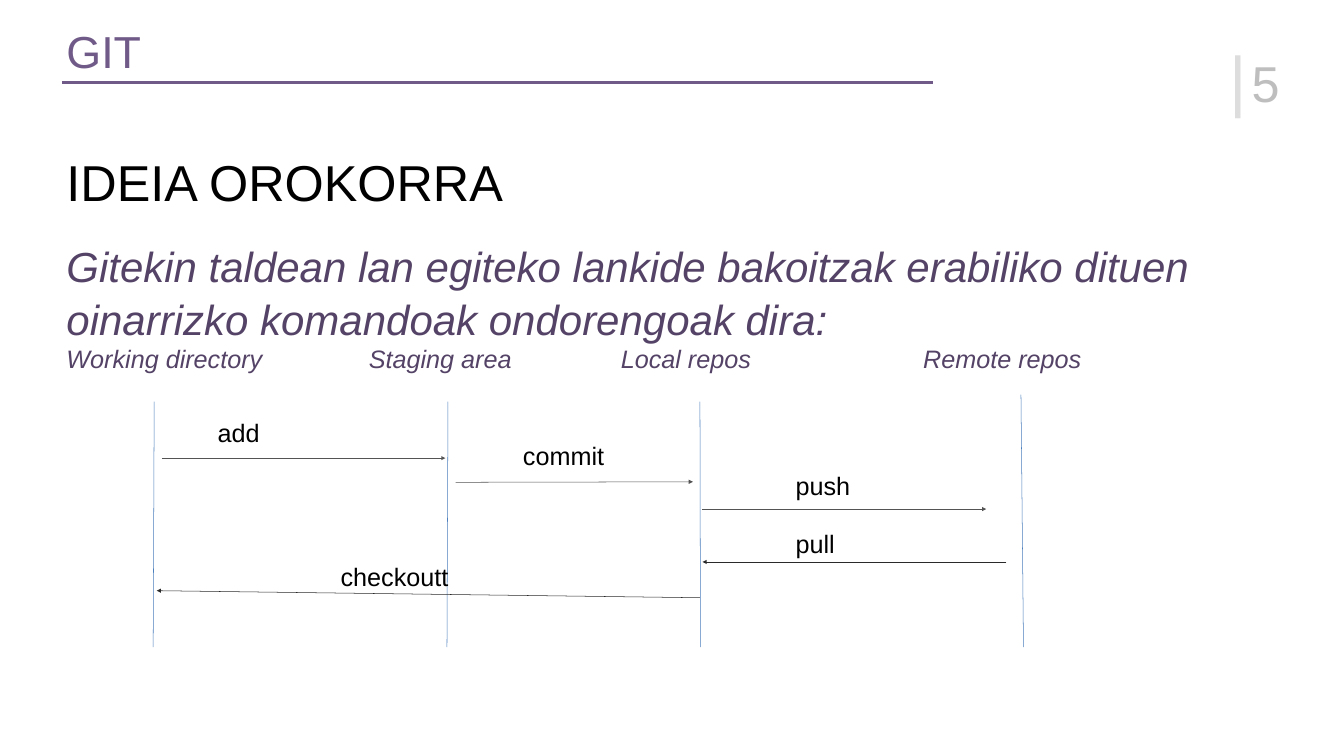
from lxml import etree
from pptx import Presentation, util as u
from pptx.dml.color import RGBColor
from pptx.enum import shapes, text
from pptx.oxml.ns import qn

PX = 9144
COLORS = {"title": "705A88", "body": "544366", "ink": "000000", "bar": "DDDDDD",
          "number": "BEBEBE", "lane": "4B7EBC", "forward": "535353", "back": "2A2A2A"}
LANES = [(306, 797, 304), (889, 797, 887), (1389, 797, 1390), (2026, 783, 2031)]
LANE_BOTTOM = 1284
HEADINGS = ["Working directory", "Staging area", "Local repos", "Remote repos"]
HEADING_TABS = [600, 1100, 1700]
COMMANDS = [
    ("add", (422, 823), (321, 909, 884, 909), "forward"),
    ("commit", (1028, 869), (904, 957, 1375, 956), "forward"),
    ("push", (1569, 929), (1394, 1010, 1957, 1010), "forward"),
    ("pull", (1569, 1044), (1997, 1115, 1394, 1115), "back"),
    ("checkoutt", (666, 1108), (1389, 1186, 311, 1172), "back"),
]


def px(n):
    """Turn px into EMU."""
    return u.Emu(n * PX)


def add_line(s, ends, color, width=0.75, arrow=False):
    """Draw a straight line, with an arrowhead at its end if wanted."""
    sp = s.shapes.add_connector(shapes.MSO_CONNECTOR.STRAIGHT, *map(px, ends))
    sp.line.color.rgb = RGBColor.from_string(COLORS[color])
    sp.line.width = u.Pt(width)
    if arrow:
        etree.SubElement(sp.line._get_or_add_ln(), qn("a:tailEnd"), type="triangle")
    etree.SubElement(sp._element.spPr, qn("a:effectLst"))


def add_box(s, box, inset=10, **frame):
    """Add an empty text box and return its text frame."""
    tf = s.shapes.add_textbox(*map(px, box)).text_frame
    fmt = {"word_wrap": True, "margin_left": px(10), "margin_right": px(10),
           "margin_top": px(inset), "margin_bottom": px(inset), **frame}
    for name, value in fmt.items():
        setattr(tf, name, value)
    return tf


def write(p, words, size, color, italic=False, **spacing):
    """Write one formatted run into a paragraph."""
    for name, value in spacing.items():
        setattr(p, name, value)
    r = p.add_run()
    r.text = words
    for name, value in {"name": "Arial", "size": u.Pt(size), "italic": italic}.items():
        setattr(r.font, name, value)
    r.font.color.rgb = RGBColor.from_string(COLORS[color])


def set_tabs(p, stops):
    """Give a paragraph left tab stops."""
    tabs = etree.SubElement(p._p.get_or_add_pPr(), qn("a:tabLst"))
    for stop in stops:
        etree.SubElement(tabs, qn("a:tab"), pos=str(px(stop)), algn="l")


def add_header(s):
    """Add the title, its rule and the page number."""
    add_line(s, (123, 164, 1852, 164), "title", 4)
    middle = {"vertical_anchor": text.MSO_ANCHOR.MIDDLE}
    write(add_box(s, (2430, 70, 94, 169), **middle).paragraphs[0], "|", 96, "bar")
    write(add_box(s, (2474, 98, 77, 131), **middle).paragraphs[0], "5", 72, "number")
    write(add_box(s, (122, 38, 2145, 120)).paragraphs[0], "GIT", 64, "title")


def add_body(s):
    """Add the heading, the introduction and the lane headings."""
    tf = add_box(s, (122, 290, 2399, 825))
    write(tf.paragraphs[0], "IDEIA OROKORRA", 72, "ink")
    write(tf.add_paragraph(), "Gitekin taldean lan egiteko lankide bakoitzak erabiliko dituen "
          "oinarrizko komandoak ondorengoak dira:", 60, "body", True,
          space_before=u.Pt(37), line_spacing=1.05)
    p = tf.add_paragraph()
    write(p, "\t".join(HEADINGS), 36, "body", True)
    set_tabs(p, HEADING_TABS)


def add_command(s, name, place, ends, color):
    """Add a command arrow with its label."""
    add_line(s, ends, color, arrow=True)
    tf = add_box(s, (*place, 334, 71), 5, auto_size=text.MSO_AUTO_SIZE.SHAPE_TO_FIT_TEXT)
    write(tf.paragraphs[0], name, 36, "ink")


def main():
    """Build and save the slide."""
    prs = Presentation()
    prs.slide_width, prs.slide_height = px(2667), px(1500)
    s = prs.slides.add_slide(prs.slide_layouts[6])
    add_header(s)
    add_body(s)
    for x1, top, x2 in LANES:
        add_line(s, (x1, top, x2, LANE_BOTTOM), "lane")
    for command in COMMANDS:
        add_command(s, *command)
    prs.save("out.pptx")


if __name__ == "__main__":
    main()
